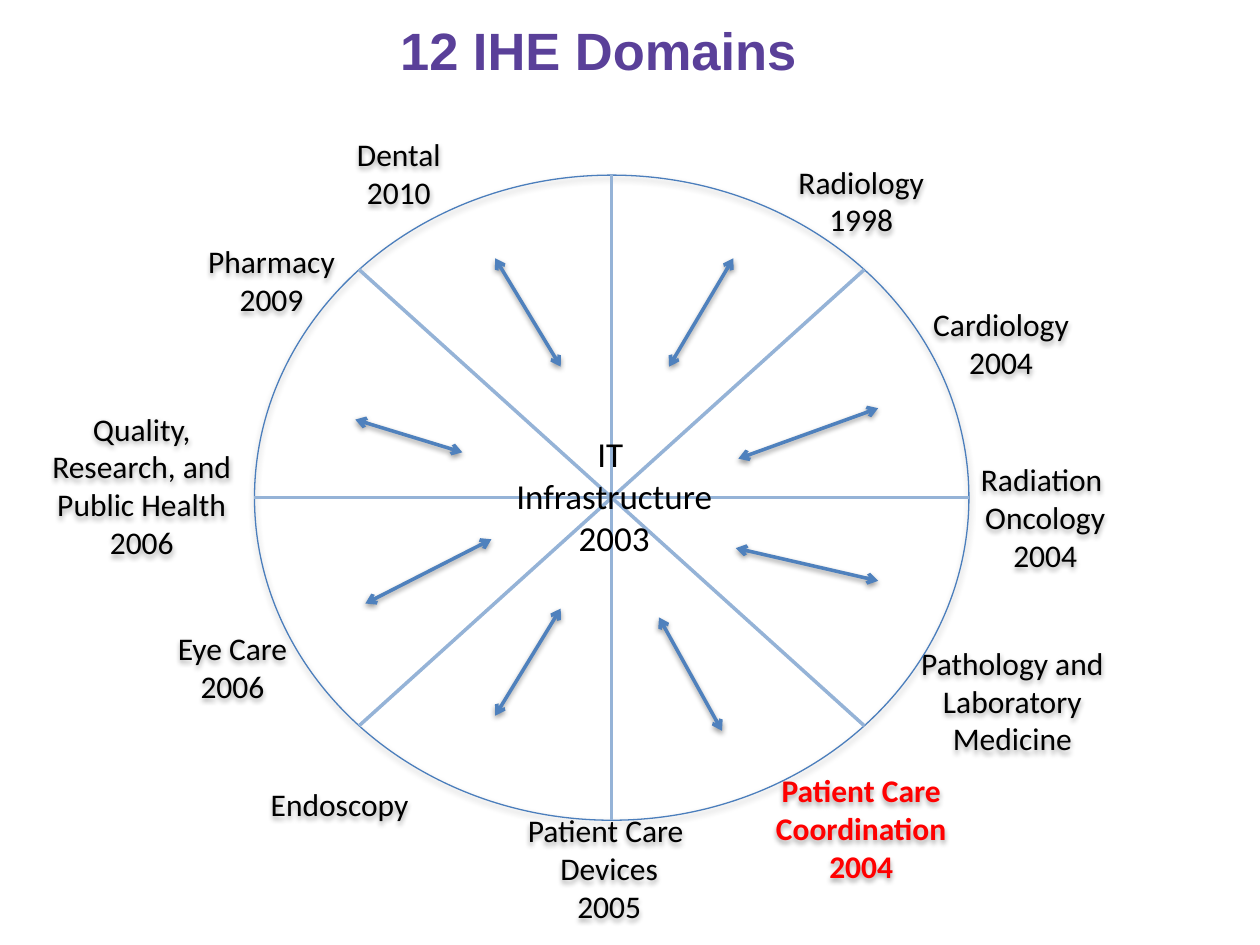
from math import cos, radians, sin

from lxml.etree import SubElement
from pptx import Presentation
from pptx.dml.color import RGBColor
from pptx.enum.shapes import MSO_CONNECTOR as Connector, MSO_SHAPE as Shape
from pptx.enum.text import MSO_ANCHOR as Anchor, PP_ALIGN as Align
from pptx.oxml.ns import qn
from pptx.util import Emu, Pt

PX = 9144
COLORS = {
    "title": "5A4099",
    "text": "000000",
    "highlight": "FF0000",
    "wheel": "4B7EBC",
    "spoke": "95B3D7",
    "arrow": "4F81BD",
    "shadow": "000000",
}
WHEEL_LEFT, WHEEL_TOP, WHEEL_WIDTH, WHEEL_HEIGHT = 202, 139, 567, 512
LABEL_WIDTH, LABEL_HEIGHT = 195, 102

DOMAINS = [
    (586, 108, "Radiology\n1998"),
    (697, 221, "Cardiology\n2004"),
    (732, 359, "Radiation \nOncology\n2004"),
    (706, 505, "Pathology and Laboratory Medicine"),
    (386, 638, "Patient Care \nDevices\n2005"),
    (172, 587, "Endoscopy"),
    (87, 478, "Eye Care\n2006"),
    (15, 334, "Quality, Research, and Public Health\n2006"),
    (118, 171, "Pharmacy\n2009"),
    (219, 86, "Dental\n2010"),
]
ARROWS = [
    (531, 291, 582, 205),
    (586, 364, 697, 324),
    (584, 435, 697, 461),
    (573, 580, 523, 490),
    (393, 568, 445, 483),
    (290, 479, 390, 428),
    (282, 333, 367, 359),
    (445, 291, 393, 205),
]


def px(*lengths):
    return [Emu(round(length * PX)) for length in lengths]


def color(key):
    return RGBColor.from_string(COLORS[key])


def add_effects(item, distance=0, alpha=0):
    effects = SubElement(item._element.spPr, qn("a:effectLst"))
    if distance:
        shadow = SubElement(effects, qn("a:outerShdw"), blurRad="40000",
                            dist=str(distance), dir="5400000", rotWithShape="0")
        tint = SubElement(shadow, qn("a:srgbClr"), val=COLORS["shadow"])
        SubElement(tint, qn("a:alpha"), val=str(alpha * 1000))


def format_text(frame, text, font_name, size, color_key, bold):
    frame.word_wrap = True
    frame.vertical_anchor = Anchor.MIDDLE
    frame.text = text
    for paragraph in frame.paragraphs:
        paragraph.alignment = Align.CENTER
        for run in paragraph.runs:
            run.font.name = font_name
            run.font.size = Pt(size)
            run.font.bold = bold
            run.font.color.rgb = color(color_key)


def add_title(slide, text):
    title = slide.shapes.title
    title.left, title.top, title.width, title.height = px(50, -2, 850, 82)
    format_text(title.text_frame, text, "Arial", 30, "title", True)


def add_label(slide, left, top, text, size=18, color_key="text", bold=False, shadow=True):
    label = slide.shapes.add_textbox(*px(left, top, LABEL_WIDTH, LABEL_HEIGHT))
    format_text(label.text_frame, text, "Calibri", size, color_key, bold)
    if shadow:
        add_effects(label, 23000, 35)


def add_wheel(slide):
    wheel = slide.shapes.add_shape(
        Shape.OVAL, *px(WHEEL_LEFT, WHEEL_TOP, WHEEL_WIDTH, WHEEL_HEIGHT))
    wheel.fill.background()
    wheel.line.color.rgb = color("wheel")
    wheel.line.width = Pt(0.75)
    add_effects(wheel, 23000, 35)


def add_line(slide, ends, color_key):
    line = slide.shapes.add_connector(Connector.STRAIGHT, *px(*ends))
    line.line.color.rgb = color(color_key)
    line.line.width = Pt(2)
    return line


def add_spoke(slide, angle):
    center_x = WHEEL_LEFT + WHEEL_WIDTH / 2
    center_y = WHEEL_TOP + WHEEL_HEIGHT / 2
    reach_x = WHEEL_WIDTH / 2 * cos(radians(angle))
    reach_y = WHEEL_HEIGHT / 2 * sin(radians(angle))
    ends = (center_x - reach_x, center_y - reach_y, center_x + reach_x, center_y + reach_y)
    add_effects(add_line(slide, ends, "spoke"))


def add_arrow(slide, ends):
    arrow = add_line(slide, ends, "arrow")
    outline = arrow.line._get_or_add_ln()
    for end in ("a:headEnd", "a:tailEnd"):
        SubElement(outline, qn(end), type="arrow")
    add_effects(arrow, 20000, 38)


def main():
    deck = Presentation()
    deck.slide_width, deck.slide_height = px(1000, 750)
    slide = deck.slides.add_slide(deck.slide_layouts[5])
    add_title(slide, "12 IHE Domains")
    add_label(slide, 586, 606, "Patient Care\nCoordination\n2004",
              color_key="highlight", bold=True)
    for left, top, text in DOMAINS:
        add_label(slide, left, top, text)
    add_wheel(slide)
    for angle in range(0, 180, 45):
        add_spoke(slide, angle)
    add_label(slide, 390, 342, "IT \nInfrastructure\n2003", size=20, shadow=False)
    for ends in ARROWS:
        add_arrow(slide, ends)
    deck.save("out.pptx")


if __name__ == "__main__":
    main()
